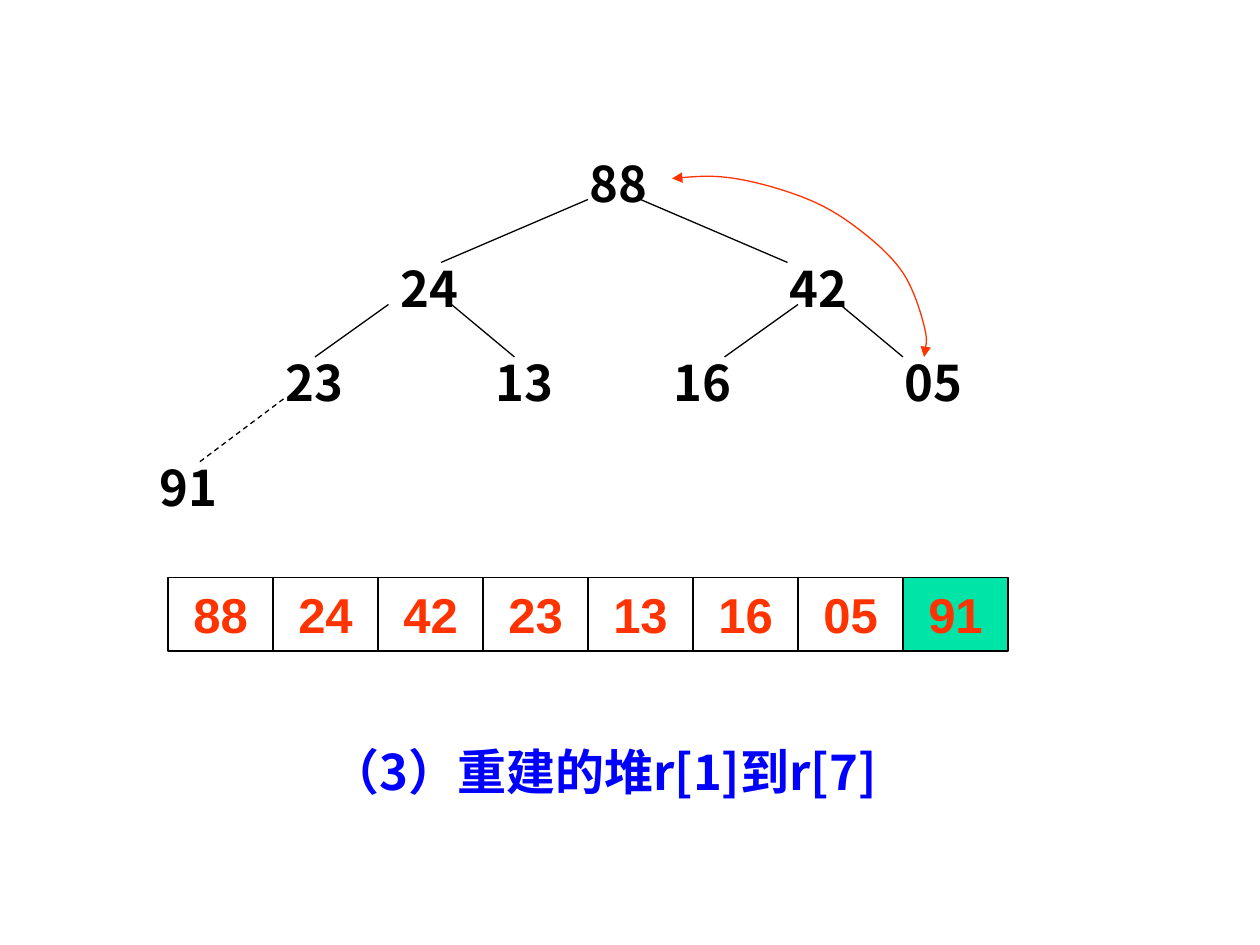
from lxml import etree
from pptx import Presentation
from pptx.dml.color import RGBColor
from pptx.enum import dml, shapes, text
from pptx.oxml import ns
from pptx.util import Pt

CAPTION = "（3）重建的堆r[1]到r[7]"
HEAP = ["88", "24", "42", "23", "13", "16", "05", "91"]
SORTED = {7}
SPOTS = [(330, 84), (222, 144), (444, 144), (156, 198),
         (276, 198), (378, 198), (510, 198), (84, 258)]
EDGES = [
    (336, 114, 252, 150), (366, 114, 450, 150),
    (222, 174, 180, 204), (258, 174, 294, 204),
    (456, 174, 414, 204), (480, 174, 516, 204),
    (162, 228, 114, 264),
]
CUT = {6}
SWAP = [
    (528, 204),
    (529, 199), (530, 194), (528, 186),
    (526, 178), (522, 165), (516, 156),
    (510, 147), (501, 139), (492, 132),
    (483, 125), (474, 119), (462, 114),
    (450, 109), (433, 104), (420, 102),
    (407, 100), (395, 101), (384, 102),
]
NODE = (48, 41)
CELL = (60, 42)
ROW = (96, 330)
THEME = {
    "ink": "000000", "red": "FF3300", "blue": "0000FF", "mint": "00E4A8",
    "sans": "Arial", "cjk": "Noto Sans CJK SC", "size": 28, "line": 0.75,
}


def color(name):
    return RGBColor.from_string(THEME[name])


def write(shape, words, ink="ink", font="cjk", align="CENTER", anchor="TOP"):
    frame = shape.text_frame
    frame.word_wrap = True
    frame.auto_size = text.MSO_AUTO_SIZE.NONE
    frame.vertical_anchor = text.MSO_ANCHOR[anchor]
    para = frame.paragraphs[0]
    para.alignment = text.PP_ALIGN[align]
    para.space_before = Pt(0)
    run = para.add_run()
    run.text = words
    run.font.size = Pt(THEME["size"])
    run.font.bold = True
    run.font.color.rgb = color(ink)
    run.font.name = THEME[font]
    east = etree.SubElement(run.font._element, ns.qn("a:ea"))
    east.set("typeface", THEME[font])
    run.font._element.find(ns.qn("a:latin")).addnext(east)


def stroke(shape, ink="ink"):
    shape.line.color.rgb = color(ink)
    shape.line.width = Pt(THEME["line"])


def add_tree(slide):
    for words, spot in zip(HEAP, SPOTS):
        box = slide.shapes.add_textbox(*map(Pt, spot + NODE))
        write(box, words, align="LEFT")
    for i, ends in enumerate(EDGES):
        edge = slide.shapes.add_connector(
            shapes.MSO_CONNECTOR.STRAIGHT, *map(Pt, ends))
        stroke(edge)
        if i in CUT:
            edge.line.dash_style = dml.MSO_LINE.DASH
        etree.SubElement(edge._element.spPr, ns.qn("a:effectLst"))


def add_row(slide):
    left, top = ROW
    for i, words in enumerate(HEAP):
        spot = (left + i * CELL[0], top)
        cell = slide.shapes.add_shape(
            shapes.MSO_SHAPE.RECTANGLE, *map(Pt, spot + CELL))
        cell.shadow.inherit = False
        if i in SORTED:
            cell.fill.solid()
            cell.fill.fore_color.rgb = color("mint")
        else:
            cell.fill.background()
        stroke(cell)
        write(cell, words, ink="red", font="sans", anchor="MIDDLE")


def add_swap(slide):
    pen = slide.shapes.build_freeform(*SWAP[0], scale=Pt(1))
    pen.add_line_segments(SWAP[1:], close=False)
    curve = pen.convert_to_shape()
    curve.shadow.inherit = False
    curve.fill.background()
    stroke(curve, "red")
    steps = list(curve._element.iter(ns.qn("a:lnTo")))
    for i in range(0, len(steps), 3):
        bend = etree.Element(ns.qn("a:cubicBezTo"))
        steps[i].addprevious(bend)
        for step in steps[i:i + 3]:
            bend.append(step[0])
            step.getparent().remove(step)
    line = curve._element.spPr.find(ns.qn("a:ln"))
    for end in ("a:headEnd", "a:tailEnd"):
        etree.SubElement(line, ns.qn(end), type="triangle")


def main():
    deck = Presentation()
    deck.slide_width, deck.slide_height = Pt(720), Pt(540)
    slide = deck.slides.add_slide(deck.slide_layouts[5])
    title = slide.shapes.title
    title.left, title.top, title.width, title.height = map(
        Pt, (138, 420, 414, 41))
    write(title, CAPTION, ink="blue")
    add_tree(slide)
    add_row(slide)
    add_swap(slide)
    deck.save("out.pptx")


if __name__ == "__main__":
    main()
